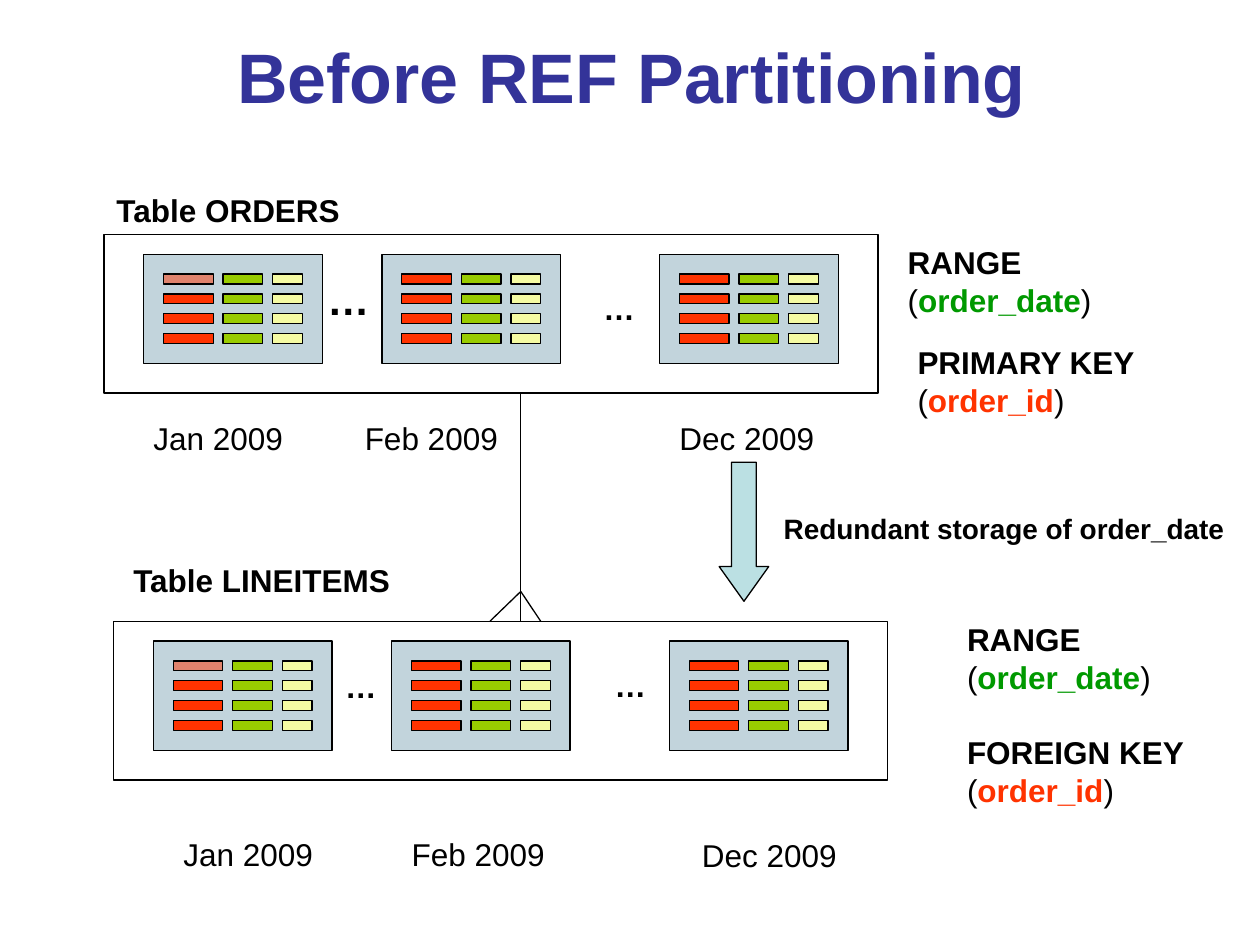
from lxml.etree import SubElement
from pptx import Presentation
from pptx.dml.color import RGBColor
from pptx.enum.shapes import MSO_CONNECTOR, MSO_SHAPE
from pptx.enum.text import MSO_ANCHOR, PP_ALIGN
from pptx.oxml.ns import qn
from pptx.util import Pt

BLACK, GREEN, RED = "000000", "009900", "FF3300"


def add_box(kind, left, top, width, height, fill=None):
    shape = slide.shapes.add_shape(kind, Pt(left), Pt(top), Pt(width), Pt(height))
    shape.shadow.inherit = False
    if fill:
        shape.fill.solid()
        shape.fill.fore_color.rgb = RGBColor.from_string(fill)
    else:
        shape.fill.background()
    shape.line.color.rgb = RGBColor.from_string(BLACK)
    shape.line.width = Pt(0.75)
    return shape


def add_text(left, top, width, height, size, paragraphs, wrap=False):
    """Each paragraph is a list of (text, bold, colour) runs."""
    box = slide.shapes.add_textbox(Pt(left), Pt(top), Pt(width), Pt(height))
    frame = box.text_frame
    frame.word_wrap = wrap
    for index, runs in enumerate(paragraphs):
        paragraph = frame.add_paragraph() if index else frame.paragraphs[0]
        if len(paragraphs) > 1:
            paragraph.line_spacing = Pt(21.6)
        for text, bold, colour in runs:
            run = paragraph.add_run()
            run.text = text
            run.font.name = "Arial"
            run.font.size = Pt(size)
            run.font.bold = bold
            run.font.color.rgb = RGBColor.from_string(colour)
    return frame


presentation = Presentation()
presentation.slide_width = Pt(720)
presentation.slide_height = Pt(540)
slide = presentation.slides.add_slide(presentation.slide_layouts[6])

# Title
title = add_text(37, -2, 648, 90, 40,
                 [[("Before REF Partitioning", True, "333399")]], wrap=True)
title.vertical_anchor = MSO_ANCHOR.MIDDLE
title.paragraphs[0].alignment = PP_ALIGN.CENTER

# Two tables, each with three partitions of four rows, on a common grid
UNIT = 5.67
PARTITION_COLUMNS = [4, 28, 56]
FIELDS = [(2, 5, RED), (8, 4, "99CC00"), (13, 3, "F5FBA3")]
for table_left, table_top in [(59.5, 134), (65, 355)]:
    add_box(MSO_SHAPE.RECTANGLE, table_left, table_top, 78 * UNIT, 16 * UNIT)
    for column in PARTITION_COLUMNS:
        left, top = table_left + column * UNIT, table_top + 2 * UNIT
        add_box(MSO_SHAPE.RECTANGLE, left, top, 18 * UNIT, 11 * UNIT, "C2D4DC")
        for offset, width, colour in FIELDS:
            for row in range(4):
                field = add_box(MSO_SHAPE.RECTANGLE, left + offset * UNIT,
                                top + 2 * (row + 1) * UNIT, width * UNIT, UNIT, colour)
                # The very first key is half transparent
                if column == PARTITION_COLUMNS[0] and colour == RED and row == 0:
                    fill_colour = field.fill._xPr.find(qn("a:solidFill"))[0]
                    SubElement(fill_colour, qn("a:alpha"), val="50000")

# Gaps between partitions
for left, top, width, height, size in [
    (180, 152.6, 39, 36, 24), (337.7, 161.6, 33, 28.8, 18),
    (190.1, 377.6, 33, 28.8, 18), (344.2, 377.3, 33, 28.8, 18),
]:
    add_text(left, top, width, height, size, [[("…", True, BLACK)]])

# Redundancy arrow
arrow = add_box(MSO_SHAPE.DOWN_ARROW, 411, 264.2, 28.3, 79.4, "BBE0E3")
arrow.adjustments[0] = 0.5
arrow.adjustments[1] = 0.7
add_text(440.8, 288.7, 268, 26.6, 16,
         [[("Redundant storage of order_date", True, BLACK)]])

# One-to-many link with a crow's foot
for x1, y1, x2, y2 in [
    (297.6, 224.7, 297.6, 355), (297.6, 338, 309, 355), (297.6, 338, 280, 355),
]:
    link = slide.shapes.add_connector(MSO_CONNECTOR.STRAIGHT, Pt(x1), Pt(y1), Pt(x2), Pt(y2))
    link.line.color.rgb = RGBColor.from_string(BLACK)
    link.line.width = Pt(0.75)
    SubElement(link._element.spPr, qn("a:effectLst"))

# Table names
add_text(59.5, 105.8, 144, 28.8, 18, [[("Table ORDERS", True, BLACK)]])
add_text(69.1, 317, 163, 28.8, 18, [[("Table LINEITEMS", True, BLACK)]])

# Partitioning and key definitions
date_column = [("(", False, BLACK), ("order_date", True, GREEN), (")", False, BLACK)]
id_column = [("(", False, BLACK), ("order_id", True, RED), (")", False, BLACK)]
range_lines = [[("RANGE", True, BLACK)], date_column]
add_text(511.6, 135.6, 121, 50.4, 18, range_lines)
add_text(517.2, 192.5, 140, 50.4, 18, [[("PRIMARY KEY", True, BLACK)], id_column])
foreign_key = add_text(545.5, 350.8, 140, 115.2, 18,
                       range_lines + [[("FOREIGN KEY", True, BLACK)], id_column])
foreign_key.paragraphs[2].space_before = Pt(21.6)

# Month labels
for month, left, top in [
    ("Jan", 80.6, 235.8), ("Feb", 201.4, 235.8), ("Dec", 381.2, 235.8),
    ("Jan", 97.7, 473.8), ("Feb", 228.2, 473.8), ("Dec", 394, 474.2),
]:
    add_text(left, top, 94, 28.8, 18, [[(f"{month} 2009", False, BLACK)]])

presentation.save("out.pptx")
